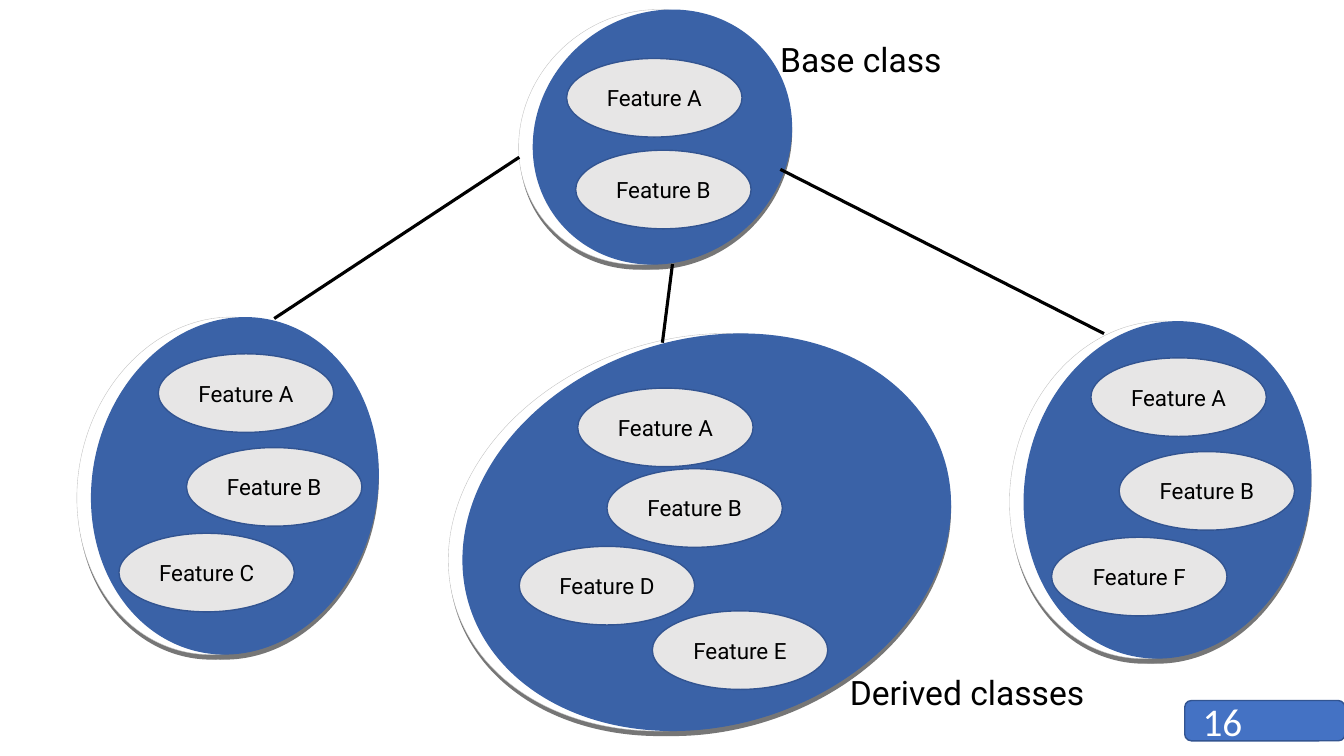
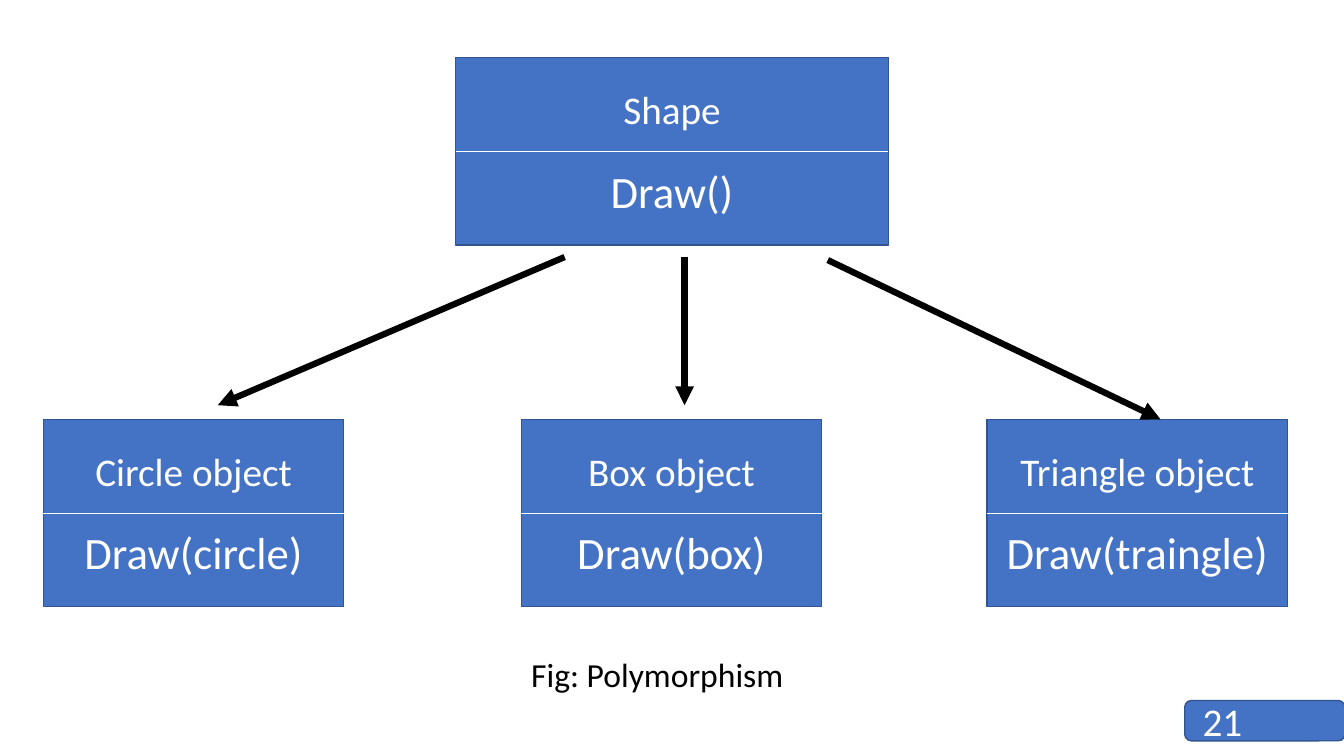
from dataclasses import dataclass

from lxml.etree import SubElement
from pptx import Presentation
from pptx.dml.color import RGBColor
from pptx.enum.shapes import MSO_CONNECTOR as Connector, MSO_SHAPE as Preset
from pptx.enum.text import MSO_ANCHOR as Anchor, PP_ALIGN as Align
from pptx.oxml.ns import qn
from pptx.util import Inches, Pt


@dataclass(frozen=True)
class Theme:
    blue: str = "4472C4"
    class_blue: str = "3A62A7"
    border: str = "325491"
    feature: str = "E7E6E6"
    rim: str = "FFFFFF"
    rim_edge: str = "C0C0C0"
    shade: str = "767676"
    ink: str = "000000"
    light: str = "FFFFFF"
    body_font: str = "Calibri"
    label_font: str = "Roboto"
    feature_size: float = 16
    label_size: float = 24
    name_size: float = 28
    method_size: float = 32


THEME = Theme()

FEATURE_W, FEATURE_H = 1.74, 0.78
BOX_H = 1.86

# Features of the outer derived classes, measured from the class centre
OUTER_SPOTS = [(-0.76, -1.31), (-0.48, -0.38), (-1.15, 0.47)]
OUTER_SIZE = (2.83, 3.37, 12)

# Centre, (width, height, tilt), feature letters, feature offsets
CLASSES = [
    ((6.57, 1.36), (2.65, 2.45, -39), "AB", [(-0.95, -0.78), (-0.86, 0.13)]),
    ((2.33, 4.82), OUTER_SIZE, "ABC", OUTER_SPOTS),
    ((7.01, 5.28), (4.93, 3.84, -17), "ABDE",
     [(-1.28, -1.43), (-0.99, -0.63), (-1.86, 0.14), (-0.54, 0.78)]),
    ((11.58, 4.86), OUTER_SIZE, "ABF", OUTER_SPOTS),
]
CLASS_LABELS = [("Base class", 7.64, 0.34, 2.33),
                ("Derived classes", 8.33, 6.62, 2.97)]
INHERITANCE = [((5.15, 1.56), (2.72, 3.16)),
               ((7.74, 1.68), (10.95, 3.31)),
               ((6.67, 2.62), (6.57, 3.4))]

# Name, method, left, top, width
OBJECTS = [
    ("Shape", "Draw()", 4.52, 0.57, 4.29),
    ("Circle object", "Draw(circle)", 0.43, 4.16, 2.98),
    ("Box object", "Draw(box)", 5.17, 4.16, 2.98),
    ("Triangle object", "Draw(traingle)", 9.79, 4.16, 2.98),
]
OVERRIDES = [((5.6, 2.55), (2.16, 4.02)),
             ((8.21, 2.58), (11.51, 4.16)),
             ((6.79, 2.55), (6.79, 4.02))]


def rgb(colour):
    return RGBColor.from_string(colour)


def add_figure(slide, preset, left, top, width, height, fill,
               border=None, border_width=1):
    figure = slide.shapes.add_shape(
        preset, Inches(left), Inches(top), Inches(width), Inches(height))
    figure.shadow.inherit = False
    figure.fill.solid()
    figure.fill.fore_color.rgb = rgb(fill)
    if border:
        figure.line.color.rgb = rgb(border)
        figure.line.width = Pt(border_width)
    else:
        figure.line.fill.background()
    return figure


def write(paragraph, text, size, colour, font, align):
    paragraph.alignment = align
    run = paragraph.add_run()
    run.text = text
    run.font.size = Pt(size)
    run.font.name = font
    run.font.color.rgb = rgb(colour)


def add_label(slide, text, left, top, width, size=THEME.label_size, height=0.5,
              colour=THEME.ink, font=THEME.body_font, align=Align.LEFT,
              anchor=Anchor.TOP):
    label = slide.shapes.add_textbox(
        Inches(left), Inches(top), Inches(width), Inches(height))
    frame = label.text_frame
    frame.word_wrap = True
    frame.vertical_anchor = anchor
    write(frame.paragraphs[0], text, size, colour, font, align)


def add_line(slide, start, end, colour, width, arrow=False):
    line = slide.shapes.add_connector(
        Connector.STRAIGHT, *(Inches(value) for value in (*start, *end)))
    line.line.color.rgb = rgb(colour)
    line.line.width = Pt(width)
    if arrow:
        SubElement(line.line._get_or_add_ln(), qn("a:tailEnd"), type="triangle")
    SubElement(line._element.spPr, qn("a:effectLst"))
    return line


def add_feature(slide, letter, left, top):
    feature = add_figure(slide, Preset.OVAL, left, top, FEATURE_W, FEATURE_H,
                         THEME.feature, THEME.border)
    frame = feature.text_frame
    frame.vertical_anchor = Anchor.MIDDLE
    write(frame.paragraphs[0], f"Feature {letter}", THEME.feature_size,
          THEME.ink, THEME.label_font, Align.CENTER)


def add_class(slide, centre, size, letters, spots):
    x, y = centre
    width, height, tilt = size
    # Shaded underside, pale rim on the left, then the face
    layers = [(-0.13, 0.05, THEME.shade, None),
              (0, 0.05, THEME.shade, None),
              (-0.14, 0, THEME.rim, THEME.rim_edge),
              (0, 0, THEME.class_blue, None)]
    for dx, dy, fill, edge in layers:
        layer = add_figure(slide, Preset.OVAL, x - width / 2 + dx,
                           y - height / 2 + dy, width, height, fill, edge, 0.25)
        layer.rotation = tilt
    for letter, (dx, dy) in zip(letters, spots):
        add_feature(slide, letter, x + dx, y + dy)


def add_object(slide, name, method, left, top, width):
    box = add_figure(slide, Preset.RECTANGLE, left, top, width, BOX_H,
                     THEME.blue, THEME.border)
    frame = box.text_frame
    frame.word_wrap = True
    frame.vertical_anchor = Anchor.MIDDLE
    write(frame.paragraphs[0], name, THEME.name_size, THEME.light,
          THEME.body_font, Align.CENTER)
    method_line = frame.add_paragraph()
    method_line.space_before = Pt(22)
    write(method_line, method, THEME.method_size, THEME.light,
          THEME.body_font, Align.CENTER)
    middle = top + BOX_H / 2
    divider = add_line(slide, (left, middle), (left + width, middle),
                       THEME.light, 0.5)
    divider.begin_connect(box, 1)
    divider.end_connect(box, 3)


def new_slide(deck, number):
    slide = deck.slides.add_slide(deck.slide_layouts[6])
    # Page number badge
    add_figure(slide, Preset.ROUNDED_RECTANGLE, 11.75, 6.95, 1.59, 0.4,
               THEME.blue, THEME.border)
    add_label(slide, str(number), 9.42, 6.95, 3, THEME.name_size, 0.4,
              THEME.light, align=Align.RIGHT, anchor=Anchor.MIDDLE)
    return slide


def build_inheritance(deck):
    slide = new_slide(deck, 16)
    for class_parts in CLASSES:
        add_class(slide, *class_parts)
    for text, left, top, width in CLASS_LABELS:
        add_label(slide, text, left, top, width, font=THEME.label_font)
    for start, end in INHERITANCE:
        add_line(slide, start, end, THEME.ink, 2.25)


def build_polymorphism(deck):
    slide = new_slide(deck, 21)
    for object_parts in OBJECTS:
        add_object(slide, *object_parts)
    for start, end in OVERRIDES:
        add_line(slide, start, end, THEME.ink, 4.5, arrow=True)
    add_label(slide, "Fig: Polymorphism", 5.17, 6.44, 3.44)


def main():
    deck = Presentation()
    deck.slide_width, deck.slide_height = Inches(13.33), Inches(7.5)
    build_inheritance(deck)
    build_polymorphism(deck)
    deck.save("out.pptx")


if __name__ == "__main__":
    main()
